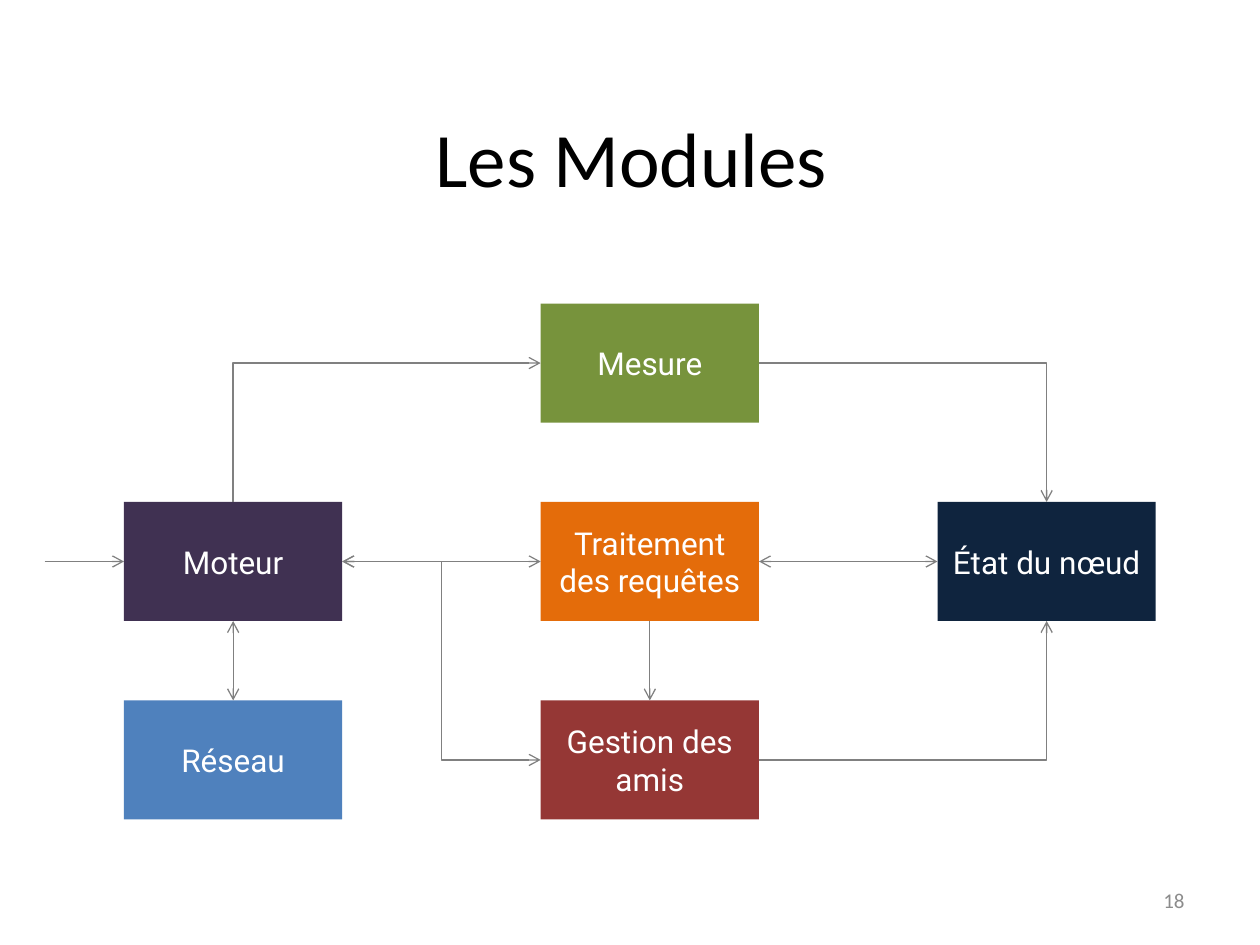
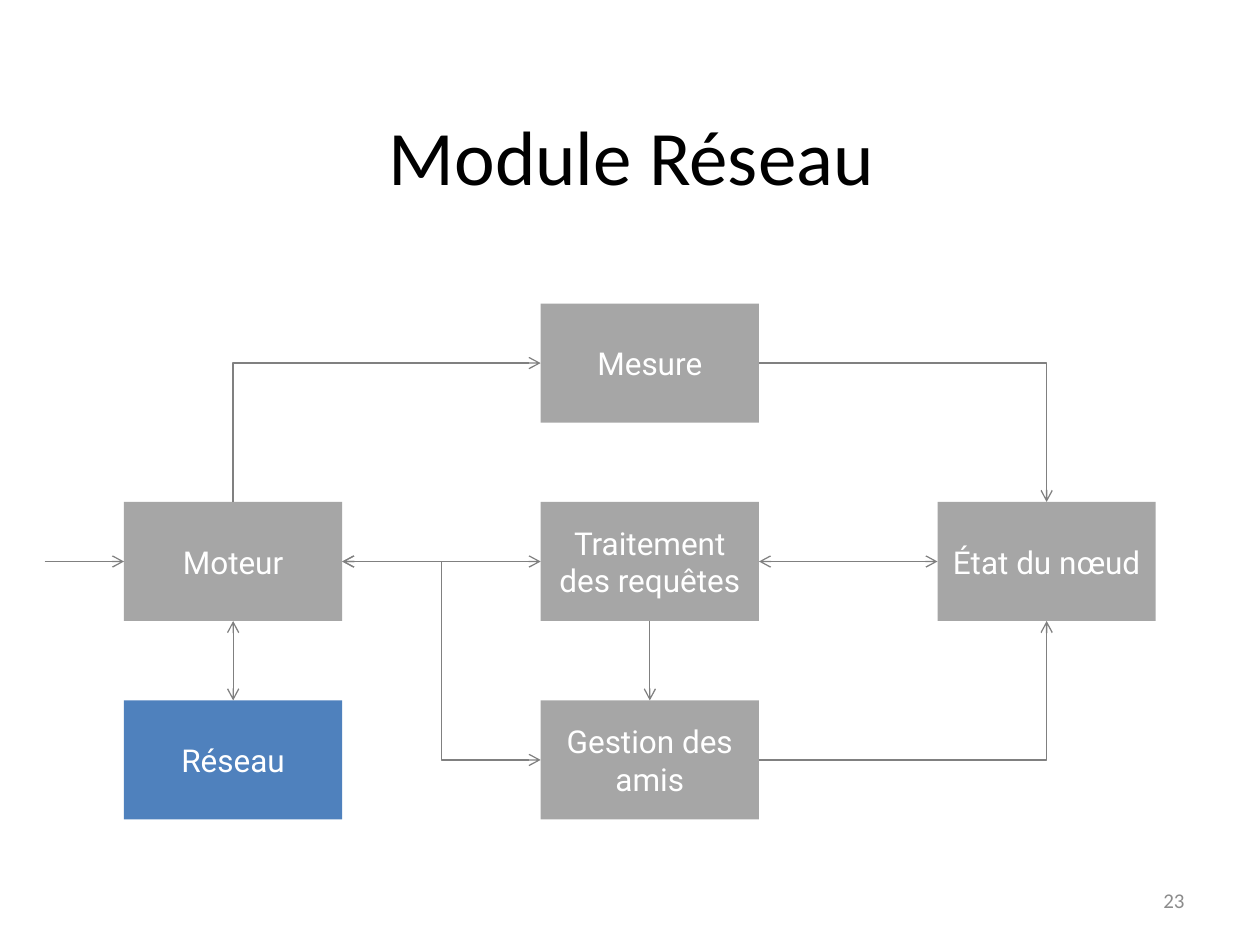
from lxml.etree import SubElement
from pptx import Presentation
from pptx.dml.color import RGBColor
from pptx.enum.shapes import MSO_CONNECTOR, MSO_SHAPE
from pptx.enum.text import MSO_ANCHOR, PP_ALIGN
from pptx.oxml.ns import qn
from pptx.util import Cm, Pt

COLORS = {
    "title": "000000",
    "label": "FFFFFF",
    "line": "808080",
    "number": "8C8C8C",
    "inactive": "A6A6A6",
    "Moteur": "403152",
    "Mesure": "77933C",
    "Traitement des requêtes": "E46C0A",
    "Gestion des amis": "953735",
    "Réseau": "4F81BD",
    "État du nœud": "0F243E",
}

# Module grid, in centimetres
COLUMNS = (2.5, 10.9, 18.9)
ROWS = (6.12, 10.12, 14.12)
BOX_WIDTH, BOX_HEIGHT = 4.4, 2.4
ENTRY_LEFT = 0.9

# Module name: (column, row)
MODULES = {
    "Moteur": (0, 1),
    "Mesure": (1, 0),
    "Traitement des requêtes": (1, 1),
    "Gestion des amis": (1, 2),
    "Réseau": (0, 2),
    "État du nœud": (2, 1),
}

# Connection sites of a rectangle
TOP, LEFT, BOTTOM, RIGHT = range(4)

# First module and site, second module and site, preset, arrowheads.
# A corner link leaves its first module horizontally.
STRAIGHT, CORNER, STEP = "line", "bentConnector2", "bentConnector3"
START, END = "headEnd", "tailEnd"
LINKS = [
    ("Mesure", LEFT, "Moteur", TOP, CORNER, [START]),
    ("Mesure", RIGHT, "État du nœud", TOP, CORNER, [END]),
    ("Moteur", RIGHT, "Traitement des requêtes", LEFT, STRAIGHT, [START, END]),
    ("Moteur", BOTTOM, "Réseau", TOP, STRAIGHT, [START, END]),
    ("Moteur", RIGHT, "Gestion des amis", LEFT, STEP, [START, END]),
    ("Traitement des requêtes", BOTTOM, "Gestion des amis", TOP, STRAIGHT, [END]),
    ("Traitement des requêtes", RIGHT, "État du nœud", LEFT, STRAIGHT, [START, END]),
    ("Gestion des amis", RIGHT, "État du nœud", BOTTOM, CORNER, [END]),
]


def color(name):
    return RGBColor.from_string(COLORS[name])


def write(shape, text, font_name, size, color_name, alignment, anchor):
    frame = shape.text_frame
    frame.word_wrap = True
    frame.vertical_anchor = anchor
    paragraph = frame.paragraphs[0]
    paragraph.text = text
    paragraph.alignment = alignment
    paragraph.font.name = font_name
    paragraph.font.size = Pt(size)
    paragraph.font.color.rgb = color(color_name)


def add_title(slide, text, top):
    box = slide.shapes.add_textbox(Cm(1.3), Cm(top), Cm(22.86), Cm(3.18))
    frame = box.text_frame
    frame.margin_top = frame.margin_bottom = Cm(0.25)
    write(box, text, "Calibri", 44, "title", PP_ALIGN.CENTER, MSO_ANCHOR.BOTTOM)


def add_slide_number(slide, number):
    box = slide.shapes.add_textbox(Cm(18.2), Cm(17.65), Cm(5.93), Cm(1.01))
    write(box, str(number), "Calibri", 12, "number", PP_ALIGN.RIGHT, MSO_ANCHOR.MIDDLE)


def add_module(slide, name, fill):
    column, row = MODULES[name]
    box = slide.shapes.add_shape(
        MSO_SHAPE.RECTANGLE, Cm(COLUMNS[column]), Cm(ROWS[row]),
        Cm(BOX_WIDTH), Cm(BOX_HEIGHT))
    box.shadow.inherit = False
    box.fill.solid()
    box.fill.fore_color.rgb = color(fill)
    box.line.fill.background()
    write(box, name, "Roboto", 18, "label", PP_ALIGN.CENTER, MSO_ANCHOR.MIDDLE)
    return box


def add_line(slide, preset, arrowheads, begin_x=0, begin_y=0):
    kind = MSO_CONNECTOR.STRAIGHT if preset == STRAIGHT else MSO_CONNECTOR.ELBOW
    connector = slide.shapes.add_connector(kind, begin_x, begin_y, begin_x, begin_y)
    connector.line.color.rgb = color("line")
    connector.line.width = Pt(0.75)
    properties = connector._element.spPr
    properties.find(qn("a:prstGeom")).set("prst", preset)
    for end in arrowheads:
        SubElement(properties.find(qn("a:ln")), qn("a:" + end), type="arrow")
    SubElement(properties, qn("a:effectLst"))
    return connector


def add_diagram(slide, active):
    # Modules outside the active set are greyed out
    boxes = {name: add_module(slide, name, name if name in active else "inactive")
             for name in MODULES}

    # Entry arrow
    engine = boxes["Moteur"]
    entry = add_line(slide, STRAIGHT, [END], Cm(ENTRY_LEFT),
                     engine.top + engine.height // 2)
    entry.end_connect(engine, LEFT)

    # Links between modules
    for first, first_site, second, second_site, preset, arrowheads in LINKS:
        connector = add_line(slide, preset, arrowheads)
        connector.begin_connect(boxes[first], first_site)
        connector.end_connect(boxes[second], second_site)


def add_module_slide(presentation, title, title_top, active, number):
    slide = presentation.slides.add_slide(presentation.slide_layouts[6])
    add_title(slide, title, title_top)
    add_diagram(slide, active)
    add_slide_number(slide, number)


def main():
    presentation = Presentation()
    presentation.slide_width, presentation.slide_height = Cm(25.4), Cm(19.05)
    add_module_slide(presentation, "Les Modules", 1.17, set(MODULES), 18)
    add_module_slide(presentation, "Module Réseau", 1.12, {"Réseau"}, 23)
    presentation.save("out.pptx")


if __name__ == "__main__":
    main()
